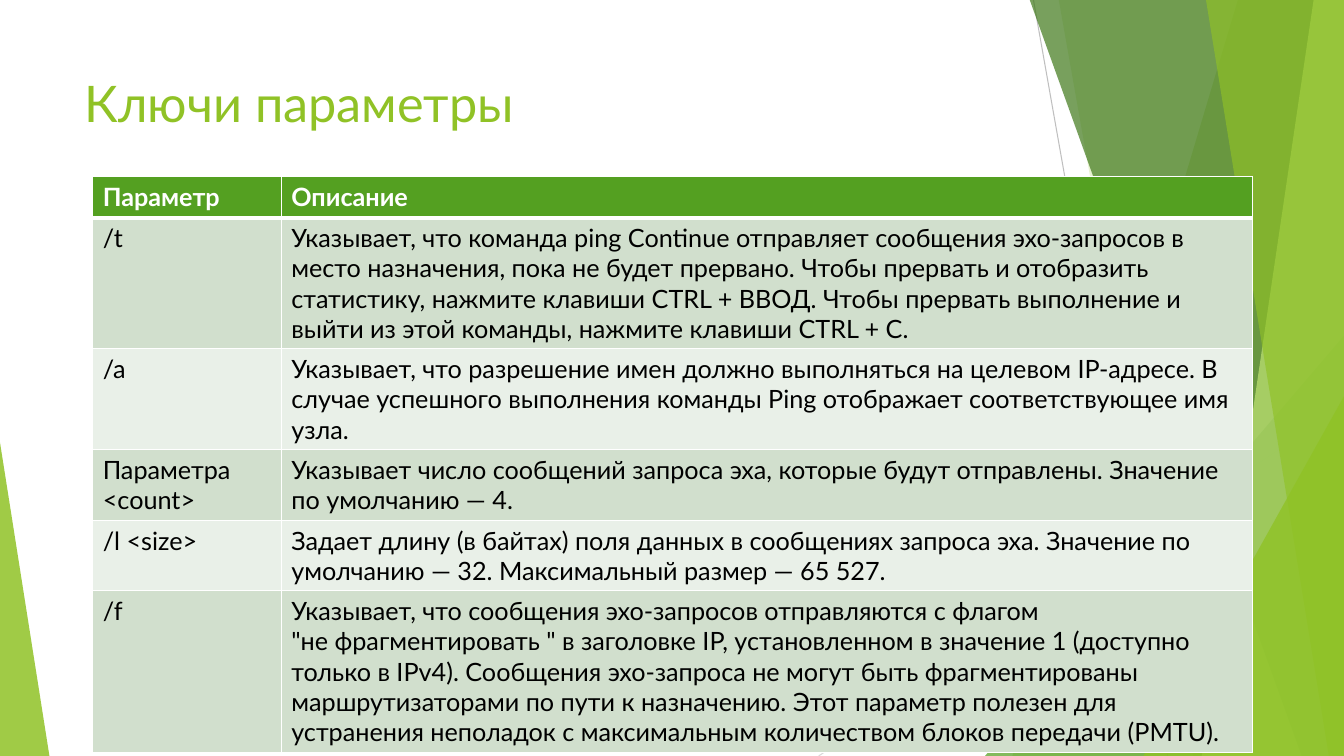
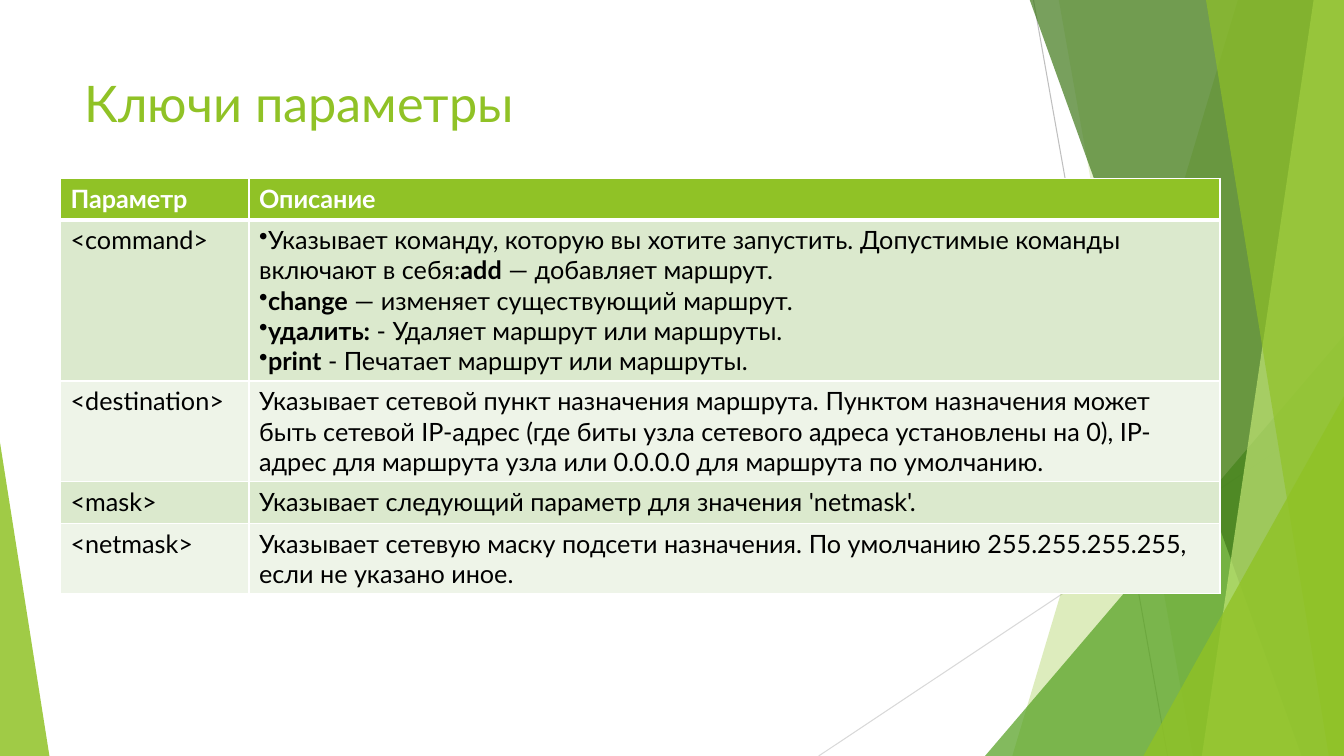
from dataclasses import dataclass
from pptx import Presentation
from pptx.dml.color import RGBColor
from pptx.enum.shapes import MSO_CONNECTOR as CONN, MSO_SHAPE as SHAPE
from pptx.enum.text import MSO_ANCHOR as ANCHOR, PP_ALIGN as ALIGN
from pptx.oxml import parse_xml
from pptx.oxml.ns import nsdecls
from pptx.oxml.xmlchemy import OxmlElement
from pptx.util import Inches, Pt

TITLE = "Ключи параметры"
HEADER = ("Параметр", "Описание")
PING_ROWS = [
    ("/t", "Указывает, что команда ping Continue отправляет сообщения эхо-запросов в место назначения, "
           "пока не будет прервано. Чтобы прервать и отобразить статистику, нажмите клавиши CTRL + ВВОД. "
           "Чтобы прервать выполнение и выйти из этой команды, нажмите клавиши CTRL + C."),
    ("/a", "Указывает, что разрешение имен должно выполняться на целевом IP-адресе. В случае успешного "
           "выполнения команды Ping отображает соответствующее имя узла."),
    ("Параметра <count>", "Указывает число сообщений запроса эха, которые будут отправлены. "
                          "Значение по умолчанию — 4."),
    ("/l <size>", "Задает длину (в байтах) поля\u00a0данных\u00a0в сообщениях запроса эха. "
                  "Значение по умолчанию — 32. Максимальный размер — 65 527."),
    ("/f", "Указывает, что сообщения эхо-запросов отправляются с флагом \"не\u00a0фрагментировать\u00a0\" "
           "в заголовке IP, установленном в значение 1 (доступно только в IPv4). Сообщения эхо-запроса "
           "не могут быть фрагментированы маршрутизаторами по пути к назначению. Этот параметр полезен "
           "для устранения неполадок с максимальным количеством блоков передачи (PMTU)."),
]
ROUTE_ROWS = [
    ("<command>", [
        "Указывает команду, которую вы хотите запустить.\u00a0Допустимые команды включают в себя:"
        "*add*\u00a0— добавляет маршрут.",
        "*change*\u00a0— изменяет существующий маршрут.",
        "*удалить:*\u00a0- Удаляет маршрут или маршруты.",
        "*print*\u00a0- Печатает маршрут или маршруты."]),
    ("<destination>", "Указывает сетевой пункт назначения маршрута.\u00a0Пунктом назначения может быть "
                      "сетевой IP-адрес (где биты узла сетевого адреса установлены на 0), IP-адрес для "
                      "маршрута узла или 0.0.0.0 для маршрута по умолчанию."),
    ("<mask>", "Указывает следующий параметр для значения 'netmask'."),
    ("<netmask>", "Указывает сетевую маску подсети назначения.\u00a0По умолчанию 255.255.255.255, "
                  "если не указано иное."),
]


@dataclass(frozen=True)
class Theme:
    font: str = "Lato"
    title_size: int = 36
    table_size: int = 18
    lime: str = "90C226"
    green: str = "54A021"
    dark: str = "3F7819"
    pale: str = "C0E474"
    white: str = "FFFFFF"
    black: str = "000000"
    line_dark: str = "BFBFBF"
    line_light: str = "D9D9D9"
    green_bands: tuple = ("D1DFCD", "E9F0E8")
    lime_bands: tuple = ("DBE9CD", "EEF4E8")


T = Theme()
WIDTH, HEIGHT, TOP = 13.33, 7.5, -0.01
TITLE_BOX = (0.74, 0.67, 9.4, 1.44)
COLUMNS, ROW_HEIGHT = (1.87, 9.63), 0.41
TABLES = [
    (PING_ROWS, (0.92, 1.75), T.green, T.green_bands),
    (ROUTE_ROWS, (0.6, 1.77), T.lime, T.lime_bands),
]
RAYS = [((10.25, 0), (11.58, HEIGHT), T.line_dark), ((WIDTH, 4.03), (8.12, HEIGHT), T.line_light)]
FACETS = [
    ("band", (12.28, 10.04), T.lime, 30),
    ("band", (10.5, 11.83), T.lime, 20),
    ("triangle", (9.77, 3.33, 3.56, 4.17, 1), T.green, 72),
    ("band", (10.21, 12.91), T.dark, 70),
    ("band", (13.03, 11.92), T.pale, 70),
    ("band", (11.96, 13.18), T.lime, 65),
    ("triangle", (11.34, 3.93, 1.99, 3.57, 1), T.lime, 80),
    ("triangle", (0, 4.39, 0.49, 3.11, 0), T.lime, 85),
]


def inches(values):
    return [Inches(v) for v in values]


def style(target, values):
    for name, value in values.items():
        setattr(target, name, value)


def paint(fill, color, opacity=100):
    fill.solid()
    fill.fore_color.rgb = RGBColor.from_string(color)
    if opacity < 100:
        alpha = OxmlElement("a:alpha")
        alpha.set("val", str(opacity * 1000))
        fill._xPr.find(".//" + fill.fore_color._color._xClr.tag).append(alpha)


def add_run(p, text, size, color, bold=False):
    r = p.add_run()
    r.text = text
    style(r.font, {"name": T.font, "size": Pt(size), "bold": bold})
    r.font.color.rgb = RGBColor.from_string(color)


def add_ray(shapes, start, end, color):
    ray = shapes.add_connector(CONN.STRAIGHT, *inches(start + end))
    ray.line.width = Pt(0.75)
    ray.line.color.rgb = RGBColor.from_string(color)
    ray.element.spPr.append(OxmlElement("a:effectLst"))


def add_facet(shapes, kind, geometry, color, opacity):
    if kind == "band":
        top_x, bottom_x = geometry
        corners = [(top_x, TOP), (WIDTH, TOP), (WIDTH, HEIGHT), (bottom_x, HEIGHT)]
        points = [inches(c) for c in corners]
        builder = shapes.build_freeform(*points[0])
        builder.add_line_segments(points[1:], close=True)
        s = builder.convert_to_shape()
    else:
        *box, apex = geometry
        s = shapes.add_shape(SHAPE.ISOSCELES_TRIANGLE, *inches(box))
        s.adjustments[0] = apex
    s.shadow.inherit = False
    s.line.fill.background()
    paint(s.fill, color, opacity)


def decorate(layout, slide):
    title = slide.shapes.title
    for ray in RAYS:
        add_ray(slide.shapes, *ray)
    for facet in FACETS:
        add_facet(slide.shapes, *facet)
    decor = [s.element for s in slide.shapes if s.shape_id != title.shape_id]
    for i, element in enumerate(decor):
        element.xpath(".//p:cNvPr")[0].set("id", str(100 + i))
        layout.shapes._spTree.insert(2 + i, element)


def add_borders(cell, widths):
    tcPr = cell._tc.get_or_add_tcPr()
    for i, (side, width) in enumerate(widths.items()):
        tcPr.insert(i, parse_xml(
            f'<a:ln{side} {nsdecls("a")} w="{Pt(width)}"><a:solidFill>'
            f'<a:srgbClr val="{T.white}"/></a:solidFill></a:ln{side}>'))


def add_bullet(p):
    pPr = p._p.get_or_add_pPr()
    for name in ("marL", "indent"):
        pPr.set(name, "0")
    bullet = OxmlElement("a:buChar")
    bullet.set("char", "•")
    pPr.append(bullet)


def fill_cell(cell, content, color, header):
    bulleted = isinstance(content, list)
    tf = cell.text_frame
    for i, text in enumerate(content if bulleted else [content]):
        p = tf.add_paragraph() if i else tf.paragraphs[0]
        if bulleted:
            add_bullet(p)
        for j, part in enumerate(text.split("*")):
            if part:
                add_run(p, part, T.table_size, color, header or j % 2 == 1)


def add_parameters(slide, rows, corner, head_fill, bands):
    lines = [HEADER] + rows
    size = (sum(COLUMNS), ROW_HEIGHT * len(lines))
    table = slide.shapes.add_table(len(lines), len(COLUMNS), *inches(corner + size)).table
    for column, width in zip(table.columns, COLUMNS):
        column.width = Inches(width)
    for i, line in enumerate(lines):
        header = i == 0
        table.rows[i].height = Inches(ROW_HEIGHT)
        for j, content in enumerate(line):
            cell = table.cell(i, j)
            paint(cell.fill, head_fill if header else bands[(i - 1) % 2])
            add_borders(cell, {"L": 1, "R": 1, "T": 3 if i == 1 else 1, "B": 3 if header else 1})
            fill_cell(cell, content, T.white if header else T.black, header)


def add_title(slide):
    title = slide.shapes.title
    style(title, dict(zip(("left", "top", "width", "height"), inches(TITLE_BOX))))
    style(title.text_frame, {"vertical_anchor": ANCHOR.TOP, "word_wrap": True})
    p = title.text_frame.paragraphs[0]
    p.alignment = ALIGN.LEFT
    add_run(p, TITLE, T.title_size, T.lime)


prs = Presentation()
style(prs, {"slide_width": Inches(WIDTH), "slide_height": Inches(HEIGHT)})
title_only = prs.slide_layouts[5]
for number, table_data in enumerate(TABLES):
    slide = prs.slides.add_slide(title_only)
    if number == 0:
        decorate(title_only, slide)
    add_title(slide)
    add_parameters(slide, *table_data)
prs.save("out.pptx")
